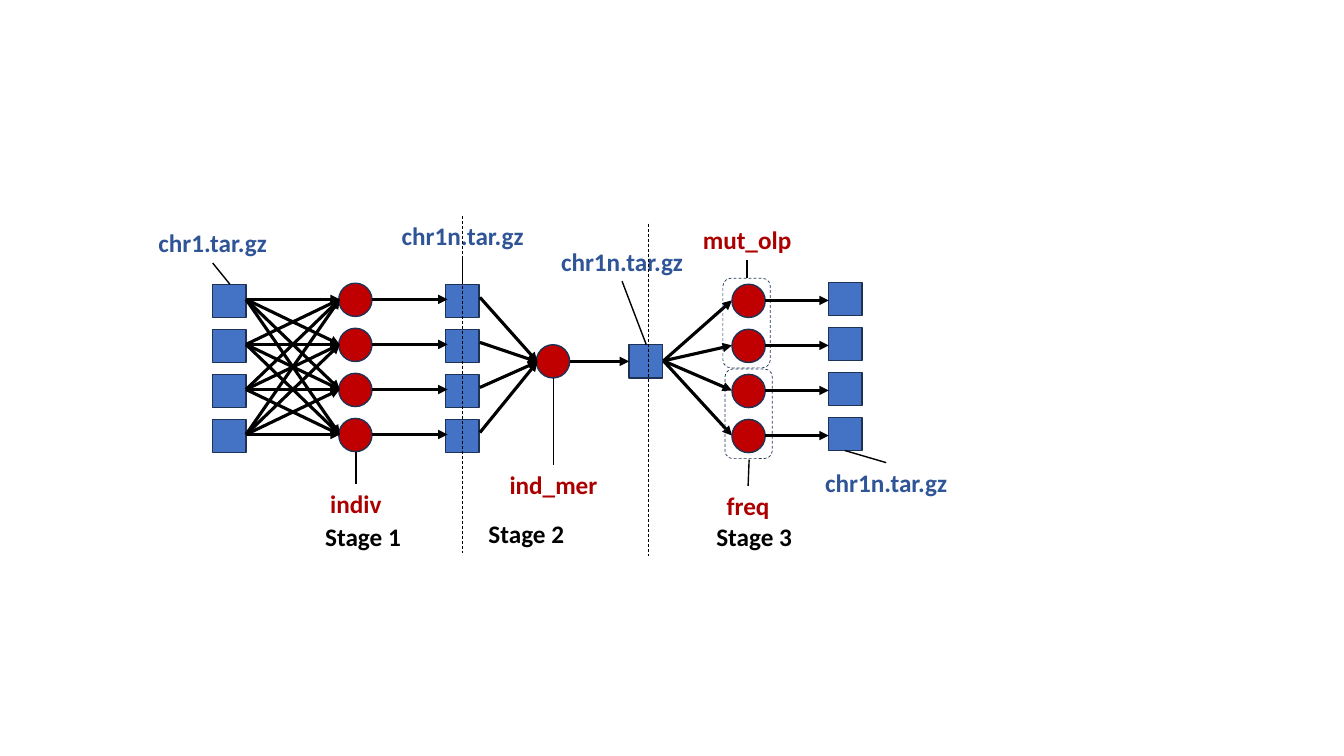
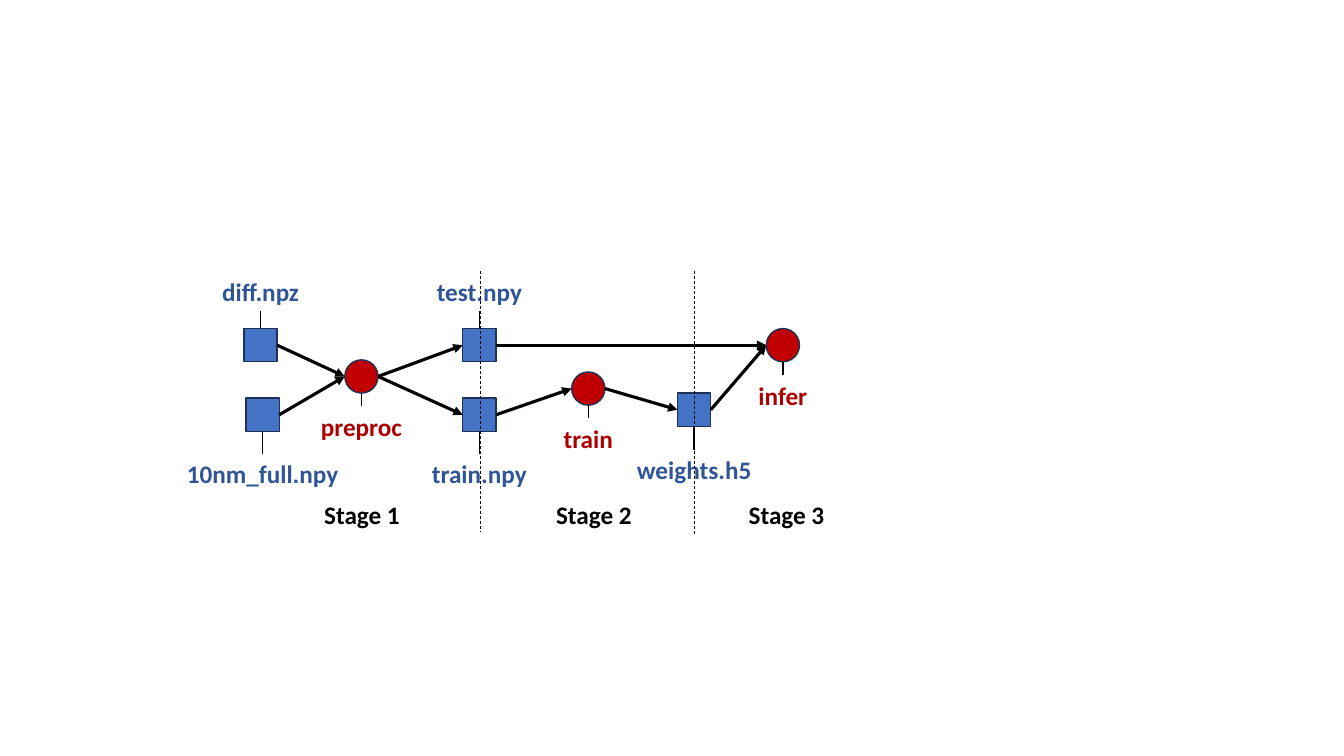
from itertools import product

from pptx import Presentation
from pptx.dml.color import RGBColor
from pptx.enum import dml, shapes, text
from pptx.oxml.ns import qn
from pptx.util import Inches, Pt
from lxml import etree

BLUE = RGBColor(0x44, 0x72, 0xC4)
RED = RGBColor(0xC0, 0x00, 0x00)
OUTLINE = RGBColor(0x1E, 0x32, 0x56)
FILE_TEXT = RGBColor(0x2F, 0x55, 0x97)
TASK_TEXT = RGBColor(0xAC, 0x00, 0x00)
BLACK = RGBColor(0, 0, 0)
FONT = "Calibri"
NODE = 0.33
PITCH = 0.447


def rows(first):
    return [first + i * PITCH for i in range(4)]


class Diagram:
    """Workflow drawing: square files, round tasks, arrows and labels."""

    def __init__(self, prs):
        self.prs = prs
        self.s = None

    def new_slide(self):
        self.s = self.prs.slides.add_slide(self.prs.slide_layouts[6])

    def shape(self, kind, x, y, w, h, fill=None, width=1):
        sp = self.s.shapes.add_shape(kind, Inches(x), Inches(y), Inches(w), Inches(h))
        sp.shadow.inherit = False
        if fill is None:
            sp.fill.background()
        else:
            sp.fill.solid()
            sp.fill.fore_color.rgb = fill
        sp.line.color.rgb = OUTLINE
        sp.line.width = Pt(width)
        return sp

    def file(self, x, y):
        self.shape(shapes.MSO_SHAPE.RECTANGLE, x, y, NODE, NODE, BLUE)
        return x, y

    def task(self, x, y):
        self.shape(shapes.MSO_SHAPE.OVAL, x, y, NODE, NODE, RED)
        return x, y

    def task_group(self, x, y):
        sp = self.shape(shapes.MSO_SHAPE.ROUNDED_RECTANGLE, x, y, 0.47, 0.89, width=0.5)
        sp.line.dash_style = dml.MSO_LINE.DASH

    def line(self, x1, y1, x2, y2, width=1):
        cx = self.s.shapes.add_connector(
            shapes.MSO_CONNECTOR.STRAIGHT, Inches(x1), Inches(y1), Inches(x2), Inches(y2))
        cx.line.color.rgb = BLACK
        cx.line.width = Pt(width)
        etree.SubElement(cx._element.spPr, qn("a:effectLst"))
        return cx

    def arrow(self, x1, y1, x2, y2):
        cx = self.line(x1, y1, x2, y2, 2.25)
        etree.SubElement(cx.line._get_or_add_ln(), qn("a:tailEnd"), type="triangle")

    def link(self, source, target):
        """Arrow from the right side of one node to the left side of another."""
        self.arrow(source[0] + NODE, source[1] + NODE / 2, target[0], target[1] + NODE / 2)

    def divider(self, x, top, bottom):
        self.line(x, top, x, bottom, 0.5).line.dash_style = dml.MSO_LINE.DASH

    def label(self, words, center, top, color, width=1.5):
        tb = self.s.shapes.add_textbox(
            Inches(center - width / 2), Inches(top), Inches(width), Inches(0.4))
        tf = tb.text_frame
        tf.word_wrap = True
        tf.margin_left = tf.margin_right = 0
        p = tf.paragraphs[0]
        p.text = words
        p.alignment = text.PP_ALIGN.CENTER
        p.font.name = FONT
        p.font.size = Pt(18)
        p.font.bold = True
        p.font.color.rgb = color

    def stages(self, *places):
        for number, (center, top) in enumerate(places, 1):
            self.label(f"Stage {number}", center, top, BLACK, 1.12)


def genome_slide(d):
    d.new_slide()
    for y in rows(2.82):
        d.file(2.11, y)
    d.label("chr1.tar.gz", 2.11, 2.21, FILE_TEXT)
    d.line(2.28, 2.82, 2.11, 2.61)
    for y in rows(2.81):
        d.task(3.36, y)
    d.label("indiv", 3.53, 4.8, TASK_TEXT)
    d.line(3.53, 4.8, 3.53, 4.48)
    for y1, y2 in product(rows(2.97), repeat=2):
        d.arrow(2.44, y1, 3.37, y2)

    for y in rows(2.82):
        d.file(4.42, y)
    d.label("chr1n.tar.gz", 4.59, 2.14, FILE_TEXT)
    d.line(4.59, 2.82, 4.59, 2.55)
    for y in rows(2.97):
        d.arrow(3.69, y, 4.44, y)

    merge = d.task(5.32, 3.42)
    d.label("ind_mer", 5.49, 4.61, TASK_TEXT)
    d.line(5.49, 4.61, 5.49, 3.75)
    for y in rows(2.95):
        d.arrow(4.76, y, 5.33, 3.59)
    merged = d.file(6.24, 3.42)
    d.link(merge, merged)
    d.label("chr1n.tar.gz", 6.17, 2.39, FILE_TEXT)
    d.line(6.41, 3.42, 6.17, 2.79)

    for y in rows(2.98):
        d.arrow(6.58, 3.58, 7.26, y)
    for y in rows(2.82):
        d.task(7.26, y)
    d.label("freq", 7.42, 4.82, TASK_TEXT)
    d.line(7.42, 4.82, 7.43, 4.56)
    d.task_group(7.19, 3.66)
    d.task_group(7.17, 2.76)
    d.label("mut_olp", 7.41, 2.18, TASK_TEXT)
    d.line(7.41, 2.58, 7.41, 2.76)
    for y in rows(2.8):
        d.file(8.22, y)
    d.label("chr1n.tar.gz", 8.79, 4.59, FILE_TEXT)
    d.line(8.38, 4.47, 8.79, 4.59)
    for y in rows(2.98):
        d.arrow(7.59, y, 8.22, y)

    d.divider(4.59, 2.14, 5.49)
    d.divider(6.43, 2.22, 5.52)
    d.stages((3.6, 5.12), (5.22, 5.09), (7.48, 5.12))


def training_slide(d):
    d.new_slide()
    # name, draw method, node left and top, label top, label colour
    nodes = [
        ("diff.npz", d.file, 2.42, 3.26, 2.69, FILE_TEXT),
        ("preproc", d.task, 3.42, 3.57, 4.03, TASK_TEXT),
        ("test.npy", d.file, 4.59, 3.26, 2.69, FILE_TEXT),
        ("train.npy", d.file, 4.59, 3.95, 4.5, FILE_TEXT),
        ("train", d.task, 5.67, 3.69, 4.15, TASK_TEXT),
        ("10nm_full.npy", d.file, 2.44, 3.95, 4.5, FILE_TEXT),
        ("infer", d.task, 7.6, 3.26, 3.72, TASK_TEXT),
        ("weights.h5", d.file, 6.72, 3.9, 4.46, FILE_TEXT),
    ]
    placed = {}
    for name, draw, x, y, label_top, color in nodes:
        placed[name] = draw(x, y)
        center = x + NODE / 2
        d.label(name, center, label_top, color, 1.9)
        if label_top < y:
            d.line(center, y, center, label_top + 0.4)
        else:
            d.line(center, y + NODE, center, label_top)

    links = [
        ("diff.npz", "preproc"), ("10nm_full.npy", "preproc"),
        ("preproc", "test.npy"), ("preproc", "train.npy"),
        ("train.npy", "train"), ("train", "weights.h5"),
        ("weights.h5", "infer"), ("test.npy", "infer"),
    ]
    for source, target in links:
        d.link(placed[source], placed[target])

    d.divider(4.76, 2.69, 5.27)
    d.divider(6.89, 2.69, 5.3)
    d.stages((3.59, 4.9), (5.89, 4.9), (7.8, 4.9))


def main():
    prs = Presentation()
    prs.slide_width = Inches(13.33)
    prs.slide_height = Inches(7.5)
    d = Diagram(prs)
    genome_slide(d)
    training_slide(d)
    prs.save("out.pptx")


if __name__ == "__main__":
    main()
